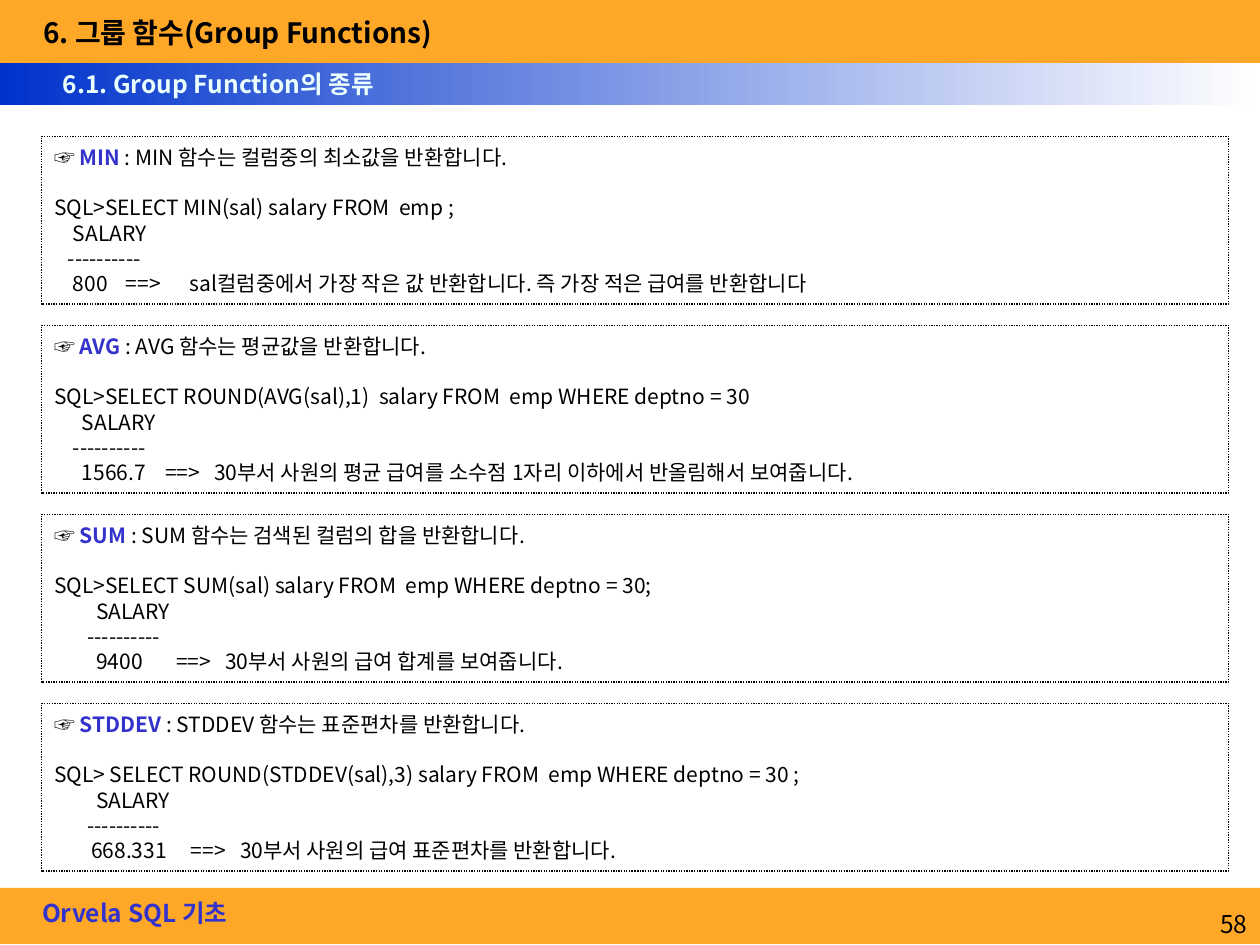
from typing import NamedTuple

from lxml import etree
from pptx import Presentation
from pptx import util as u
from pptx.dml.color import RGBColor
from pptx.enum import dml, shapes, text
from pptx.oxml import ns

FONT = "Noto Sans CJK KR"
ORANGE = RGBColor(0xFF, 0xA8, 0x27)
BLUE = RGBColor(0x00, 0x33, 0xCC)
VIOLET = RGBColor(0x33, 0x33, 0xCC)
PALE = RGBColor(0xEB, 0xFF, 0xFF)
WHITE = RGBColor(0xFF, 0xFF, 0xFF)
BLACK = RGBColor(0, 0, 0)
WIDE, HIGH = 25.4, 19.05
LEADING = 1.2


class Area(NamedTuple):
    """Left, top, width and height in centimetres."""
    left: float
    top: float
    width: float
    height: float

    def cm(self) -> list:
        return [u.Cm(v) for v in self]


class Query(NamedTuple):
    """One group function; the tab stops are in centimetres."""
    name: str
    about: str
    code: str
    value: str
    note: str
    head: float
    rule: float
    cell: float
    arrow: float
    hint: float


QUERIES = [
    Query("MIN", "MIN 함수는 컬럼중의 최소값을 반환합니다.",
          "SQL>SELECT MIN(sal) salary FROM  emp ;", "800",
          "sal컬럼중에서 가장 작은 값 반환합니다. 즉 가장 적은 급여를 반환합니다",
          0.38, 0.28, 0.38, 1.45, 2.74),
    Query("AVG", "AVG 함수는 평균값을 반환합니다.",
          "SQL>SELECT ROUND(AVG(sal),1)  salary FROM  emp WHERE deptno = 30",
          "1566.7",
          "30부서 사원의 평균 급여를 소수점 1자리 이하에서 반올림해서 보여줍니다.",
          0.56, 0.38, 0.56, 2.24, 3.23),
    Query("SUM", "SUM 함수는 검색된 컬럼의 합을 반환합니다.",
          "SQL>SELECT SUM(sal) salary FROM  emp WHERE deptno = 30;", "9400",
          "30부서 사원의 급여 합계를 보여줍니다.",
          0.85, 0.67, 0.85, 2.46, 3.45),
    Query("STDDEV", "STDDEV 함수는 표준편차를 반환합니다.",
          "SQL> SELECT ROUND(STDDEV(sal),3) salary FROM  emp WHERE deptno = 30 ;",
          "668.331", "30부서 사원의 급여 표준편차를 반환합니다.",
          0.85, 0.67, 0.75, 2.76, 3.75),
]


def write(para, words: str, size: float = 12, color: RGBColor = BLACK,
          bold: bool = False, align=text.PP_ALIGN.LEFT) -> None:
    """Add one formatted run to a paragraph."""
    para.alignment = align
    para.line_spacing = u.Pt(size * LEADING)
    run = para.add_run()
    run.text = words
    font = run.font
    font.name, font.size, font.bold = FONT, u.Pt(size), bold
    font.color.rgb = color
    east = etree.SubElement(font._element, ns.qn("a:ea"))
    east.set("typeface", FONT)


def set_tabs(para, stops: tuple) -> None:
    tabs = etree.SubElement(para._p.get_or_add_pPr(), ns.qn("a:tabLst"))
    for stop in stops:
        tab = etree.SubElement(tabs, ns.qn("a:tab"))
        tab.set("pos", str(int(u.Cm(stop))))
        tab.set("algn", "l")


def set_frame(shape, anchor) -> None:
    frame = shape.text_frame
    frame.word_wrap = True
    frame.auto_size = text.MSO_AUTO_SIZE.NONE
    frame.vertical_anchor = anchor
    frame.margin_left = frame.margin_right = u.Cm(0.25)
    frame.margin_top = frame.margin_bottom = u.Cm(0.13)


def add_rect(slide, area: Area):
    rect = slide.shapes.add_shape(shapes.MSO_SHAPE.RECTANGLE, *area.cm())
    rect.shadow.inherit = False
    return rect


def add_bar(slide, area: Area, color: RGBColor, fade: bool = False) -> None:
    bar = add_rect(slide, area)
    bar.line.fill.background()
    if fade:
        bar.fill.gradient()
        bar.fill.gradient_angle = 0
        for stop, tint, place in zip(bar.fill.gradient_stops, (color, WHITE), (0, 1)):
            stop.color.rgb, stop.position = tint, place
    else:
        bar.fill.solid()
        bar.fill.fore_color.rgb = color


def add_label(slide, area: Area, words: str, **style) -> None:
    box = slide.shapes.add_textbox(*area.cm())
    set_frame(box, text.MSO_ANCHOR.TOP)
    write(box.text_frame.paragraphs[0], words, **style)


def add_query(slide, area: Area, query: Query) -> None:
    box = add_rect(slide, area)
    box.fill.background()
    box.line.color.rgb = BLACK
    box.line.width = u.Pt(0.75)
    box.line.dash_style = dml.MSO_LINE.ROUND_DOT
    set_frame(box, text.MSO_ANCHOR.MIDDLE)
    frame = box.text_frame
    intro = frame.paragraphs[0]
    write(intro, "☞ ")
    write(intro, query.name, color=VIOLET, bold=True)
    write(intro, f" : {query.about}")
    code = frame.add_paragraph()
    write(code, query.code)
    code.space_before = u.Pt(12 * LEADING)
    rows = [
        ("\tSALARY", (query.head,)),
        ("\t----------", (query.rule,)),
        (f"\t{query.value}\t==>\t{query.note}", (query.cell, query.arrow, query.hint)),
    ]
    for words, stops in rows:
        para = frame.add_paragraph()
        write(para, words)
        set_tabs(para, stops)


def add_title(slide, area: Area, words: str) -> None:
    title = slide.shapes.title
    title.left, title.top, title.width, title.height = area.cm()
    set_frame(title, text.MSO_ANCHOR.TOP)
    write(title.text_frame.paragraphs[0], words, size=16, bold=True)
    # Lift the title above the bars
    title.element.getparent().append(title.element)


def main() -> None:
    deck = Presentation()
    deck.slide_width, deck.slide_height = u.Cm(WIDE), u.Cm(HIGH)
    slide = deck.slides.add_slide(deck.slide_layouts[5])

    add_bar(slide, Area(0, 0, WIDE, 1.27), ORANGE)
    add_bar(slide, Area(0, 17.9, WIDE, 1.13), ORANGE)
    add_bar(slide, Area(0, 1.27, WIDE, 0.84), BLUE, fade=True)

    add_label(slide, Area(0.6, 17.98, 4.6, 0.86), "Orvela SQL 기초",
              size=14, color=VIOLET, bold=True)
    add_label(slide, Area(20.12, 18.2, 5.28, 0.8), "58",
              size=14, align=text.PP_ALIGN.RIGHT)
    add_title(slide, Area(0.62, 0.18, 8.94, 0.94), "6. 그룹 함수(Group Functions)")
    add_label(slide, Area(1.02, 1.27, 7.21, 0.86), "6.1. Group Function의 종류",
              size=14, color=PALE, bold=True)

    for row, query in enumerate(QUERIES):
        add_query(slide, Area(0.84, 2.75 + 3.81 * row, 23.93, 3.38), query)

    deck.save("out.pptx")


if __name__ == "__main__":
    main()
